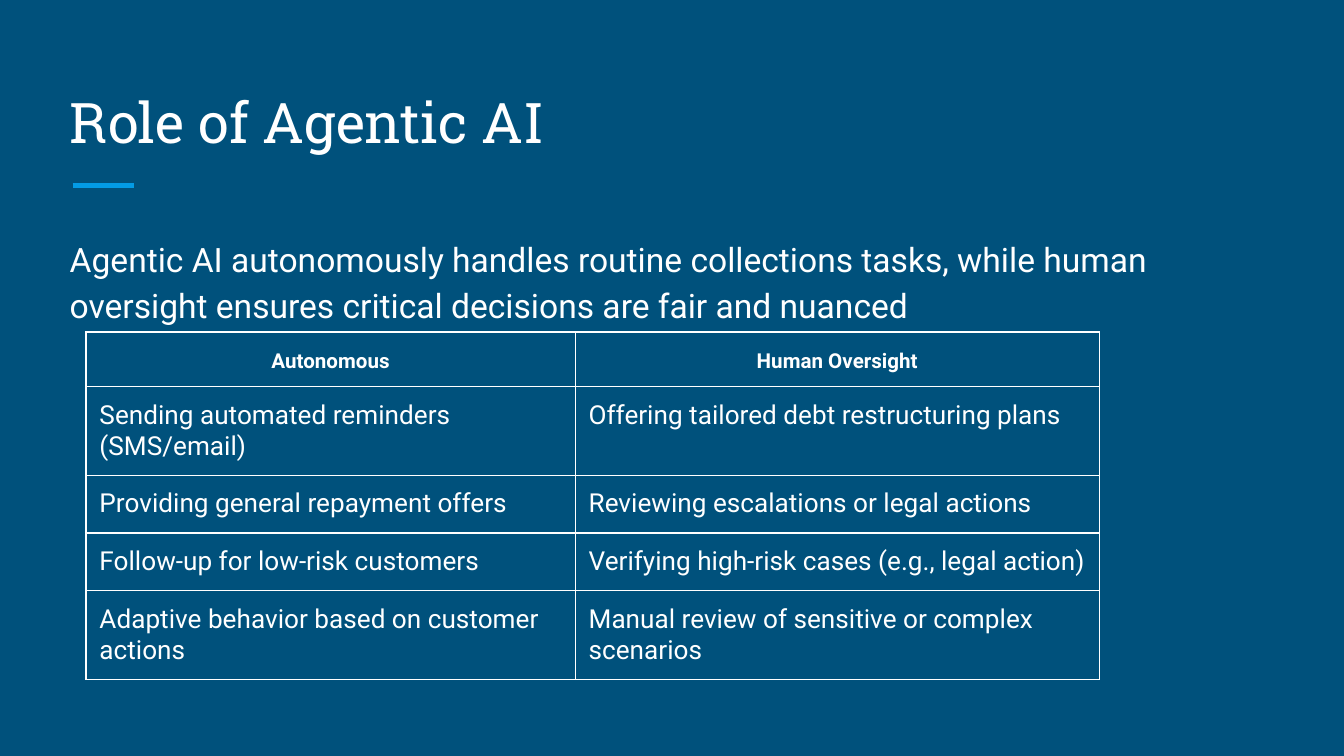
from lxml.etree import SubElement
from pptx import Presentation
from pptx.dml.color import RGBColor
from pptx.enum.shapes import MSO_CONNECTOR
from pptx.enum.text import MSO_ANCHOR, MSO_AUTO_SIZE, PP_ALIGN
from pptx.oxml.ns import qn
from pptx.util import Inches, Pt

NAVY = RGBColor(0x00, 0x51, 0x7C)
BLUE = RGBColor(0x03, 0x9B, 0xE5)
WHITE = RGBColor(0xFF, 0xFF, 0xFF)

TITLE = "Role of Agentic AI"
SUMMARY = (
    "Agentic AI autonomously handles routine collections tasks, "
    "while human oversight ensures critical decisions are fair and nuanced"
)
ROLES = [
    ("Autonomous", "Human Oversight"),
    ("Sending automated reminders (SMS/email)", "Offering tailored debt restructuring plans"),
    ("Providing general repayment offers", "Reviewing escalations or legal actions"),
    ("Follow-up for low-risk customers", "Verifying high-risk cases (e.g., legal action)"),
    ("Adaptive behavior based on customer actions", "Manual review of sensitive or complex scenarios"),
]
SLIDE_WIDTH = Inches(10)
SLIDE_HEIGHT = SLIDE_WIDTH * 9 // 16
COLUMN_WIDTHS = [3.64, 3.9]
ROW_HEIGHTS = [0.4, 0.66, 0.43, 0.43, 0.66]
TEXT_LEFT, TEXT_WIDTH = 0.42, 9.15
INSET = Inches(0.1)


def write_text(frame, text, size, font="Roboto", bold=False, align=PP_ALIGN.LEFT, spacing=1.0):
    para = frame.paragraphs[0]
    para.alignment = align
    para.line_spacing = spacing
    span = para.add_run()
    span.text = text
    span.font.name = font
    span.font.size = Pt(size)
    span.font.bold = bold
    span.font.color.rgb = WHITE


def set_margins(target):
    target.margin_left = target.margin_right = INSET
    target.margin_top = target.margin_bottom = INSET


def add_borders(cell):
    properties = cell._tc.get_or_add_tcPr()
    for side in ("a:lnL", "a:lnR", "a:lnT", "a:lnB"):
        border = SubElement(properties, qn(side), w=str(Pt(0.75)))
        fill = SubElement(border, qn("a:solidFill"))
        SubElement(fill, qn("a:srgbClr"), val=str(WHITE))


def place_frame(shape, top, height, anchor):
    shape.left, shape.top = Inches(TEXT_LEFT), Inches(top)
    shape.width, shape.height = Inches(TEXT_WIDTH), Inches(height)
    frame = shape.text_frame
    frame.word_wrap = True
    frame.auto_size = MSO_AUTO_SIZE.NONE
    frame.vertical_anchor = anchor
    set_margins(frame)
    return frame


def add_role_table(page):
    table = page.shapes.add_table(
        len(ROLES), len(COLUMN_WIDTHS), Inches(0.64), Inches(2.47),
        Inches(sum(COLUMN_WIDTHS)), Inches(sum(ROW_HEIGHTS)),
    ).table
    table.first_row = table.horz_banding = False
    for column, width in zip(table.columns, COLUMN_WIDTHS):
        column.width = Inches(width)
    for row, height, texts in zip(table.rows, ROW_HEIGHTS, ROLES):
        row.height = Inches(height)
        for cell, text in zip(row.cells, texts):
            set_margins(cell)
            add_borders(cell)
            cell.fill.background()
            if texts == ROLES[0]:
                write_text(cell.text_frame, text, 11, bold=True, align=PP_ALIGN.CENTER, spacing=1.15)
            else:
                write_text(cell.text_frame, text, 14)


def main():
    deck = Presentation()
    deck.slide_width, deck.slide_height = SLIDE_WIDTH, SLIDE_HEIGHT
    page = deck.slides.add_slide(deck.slide_layouts[5])
    page.background.fill.solid()
    page.background.fill.fore_color.rgb = NAVY

    accent = page.shapes.add_connector(
        MSO_CONNECTOR.STRAIGHT, Inches(0.54), Inches(1.38), Inches(1), Inches(1.38)
    )
    accent.line.color.rgb = BLUE
    accent.line.width = Pt(3)
    SubElement(accent._element.spPr, qn("a:effectLst"))

    title = place_frame(page.shapes.title, 0.5, 0.75, MSO_ANCHOR.BOTTOM)
    write_text(title, TITLE, 30, font="Roboto Slab")

    summary_box = page.shapes.add_textbox(0, 0, 0, 0)
    summary = place_frame(summary_box, 1.63, 3.37, MSO_ANCHOR.TOP)
    write_text(summary, SUMMARY, 18, spacing=1.15)

    add_role_table(page)
    deck.save("out.pptx")


if __name__ == "__main__":
    main()
